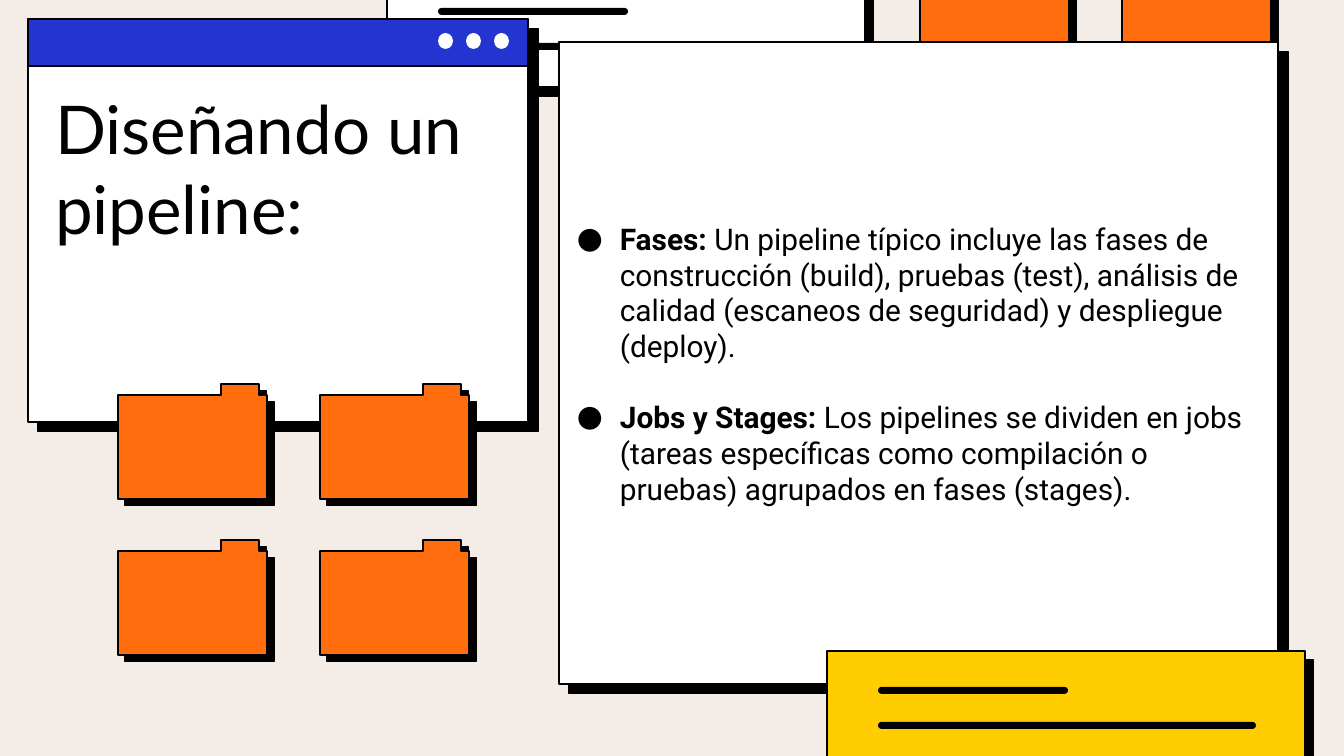
from lxml.etree import SubElement
from pptx import Presentation
from pptx.dml.color import RGBColor
from pptx.enum.shapes import MSO_SHAPE
from pptx.enum.text import MSO_ANCHOR
from pptx.oxml.ns import qn
from pptx.util import Pt

EMU_PER_PX = 914400 / 134.4
INK, WHITE, ORANGE = "010103", "FFFFFF", "FF6D0F"
BLUE, YELLOW, CREAM = "2434D0", "FFCD01", "F4ECE6"


def px(length):
    return round(length * EMU_PER_PX)


def color(value):
    return RGBColor.from_string(value)


class Desktop:
    """Draws retro desktop elements on one slide in a shared style."""

    def __init__(self, slide):
        self.slide = slide
        self.shapes = slide.shapes
        background = slide.background.fill
        background.solid()
        background.fore_color.rgb = color(CREAM)

    def paint(self, shape, fill, outlined=False, shadow=None):
        shape.shadow.inherit = False
        shape.fill.solid()
        shape.fill.fore_color.rgb = color(fill)
        if outlined:
            shape.line.color.rgb = color(INK)
            shape.line.width = Pt(0.75)
        else:
            shape.line.fill.background()
        if shadow:
            distance, angle = shadow
            effects = shape._element.spPr.find(qn("a:effectLst"))
            outer = SubElement(effects, qn("a:outerShdw"), blurRad="0", dist=str(Pt(distance)),
                               dir=str(angle * 60000), algn="bl", rotWithShape="0")
            SubElement(outer, qn("a:srgbClr"), val="000000")

    def block(self, kind, left, top, width, height, fill, outlined=False, shadow=None):
        shape = self.shapes.add_shape(kind, px(left), px(top), px(width), px(height))
        self.paint(shape, fill, outlined, shadow)
        return shape

    def panel(self, left, top, width, height, fill, shadow=None):
        self.block(MSO_SHAPE.RECTANGLE, left, top, width, height, fill, True, shadow)

    def note(self, left, top, fill):
        self.panel(left, top, 478, 115, fill, (6.8, 46))
        for drop, width in ((36, 190), (71, 378)):
            stroke = self.block(MSO_SHAPE.ROUNDED_RECTANGLE, left + 51, top + drop, width, 7, INK)
            stroke.adjustments[0] = 0.5

    def folder(self, left, top):
        right, bottom, shoulder = left + 149, top + 115, top + 11
        tab_left, tab_right = left + 103, left + 141
        outline = self.shapes.build_freeform(tab_left, top, scale=EMU_PER_PX)
        outline.add_line_segments([
            (tab_left, shoulder), (left, shoulder), (left, bottom), (right, bottom),
            (right, shoulder), (tab_right, shoulder), (tab_right, top)])
        self.paint(outline.convert_to_shape(), ORANGE, True, (5.2, 43))

    def window(self, left, top, width, height):
        self.panel(left, top, width, height, WHITE, (7.5, 44))
        self.panel(left, top, width, 47, BLUE)
        for button in range(3):
            self.block(MSO_SHAPE.OVAL, left + 410 + 28 * button, top + 14, 15, 16, WHITE)

    def text_frame(self, left, top, width, height, anchor):
        frame = self.shapes.add_textbox(px(left), px(top), px(width), px(height)).text_frame
        frame.word_wrap = True
        frame.vertical_anchor = anchor
        frame.margin_left = frame.margin_right = px(13)
        frame.margin_top = frame.margin_bottom = px(13)
        return frame

    def style(self, paragraph, font_name, size):
        paragraph.font.name = font_name
        paragraph.font.size = Pt(size)
        paragraph.font.color.rgb = color(INK)

    def title(self, text, left, top, width, height):
        frame = self.text_frame(left, top, width, height, MSO_ANCHOR.TOP)
        heading = frame.paragraphs[0]
        heading.text = text
        self.style(heading, "Lato", 36)

    def bullets(self, items, left, top, width, height):
        frame = self.text_frame(left, top, width, height, MSO_ANCHOR.MIDDLE)
        for index, (term, explanation) in enumerate(items):
            item = frame.add_paragraph() if index else frame.paragraphs[0]
            properties = item._p.get_or_add_pPr()
            properties.set("marL", str(px(67)))
            properties.set("indent", str(px(-43)))
            SubElement(SubElement(properties, qn("a:buClr")), qn("a:srgbClr"), val=INK)
            SubElement(properties, qn("a:buFont"), typeface="Roboto")
            SubElement(properties, qn("a:buChar"), char="●")
            if index:
                item.space_before = Pt(19)
            self.style(item, "Roboto", 16)
            lead = item.add_run()
            lead.text = term
            lead.font.bold = True
            item.add_run().text = explanation


def main():
    presentation = Presentation()
    presentation.slide_width, presentation.slide_height = px(1344), px(756)
    desktop = Desktop(presentation.slides.add_slide(presentation.slide_layouts[6]))

    desktop.note(387, -28, WHITE)
    for left in (1122, 920):
        desktop.folder(left, -28)

    desktop.panel(559, 42, 719, 642, WHITE, (7.5, 44))
    desktop.bullets([
        ("Fases: ", "Un pipeline típico incluye las fases de construcción (build), pruebas (test), "
                    "análisis de calidad (escaneos de seguridad) y despliegue (deploy)."),
        ("Jobs y Stages: ", "Los pipelines se dividen en jobs (tareas específicas como compilación "
                            "o pruebas) agrupados en fases (stages)."),
    ], 540, 30, 734, 667)

    desktop.window(28, 19, 500, 403)
    desktop.title("Diseñando un pipeline:", 42, 74, 486, 190)
    for left in (320, 118):
        for top in (384, 540):
            desktop.folder(left, top)
    desktop.note(827, 651, YELLOW)

    presentation.save("out.pptx")


if __name__ == "__main__":
    main()
